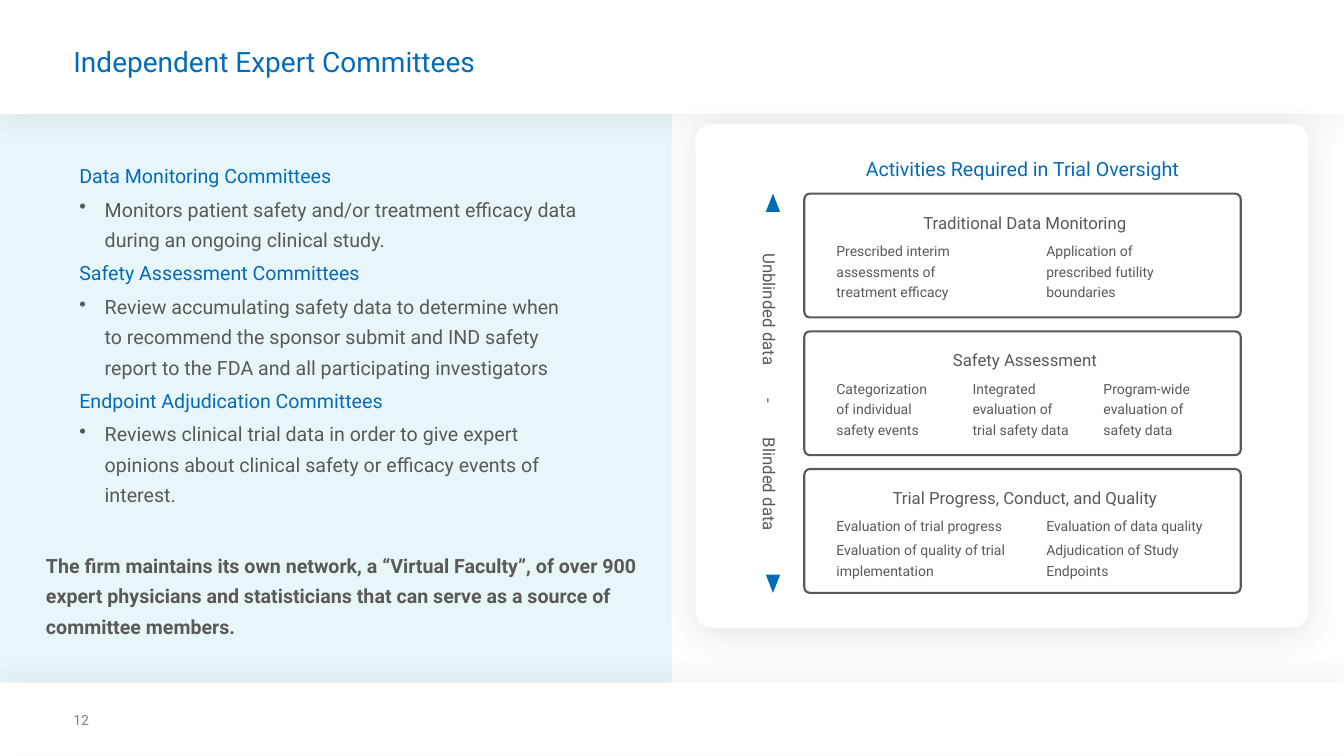
import pptx
import pptx.dml.color
import pptx.enum.shapes
import pptx.enum.text
import pptx.oxml
import pptx.oxml.ns
import pptx.util

Cm = pptx.util.Cm
Pt = pptx.util.Pt
SHAPES = pptx.enum.shapes.MSO_SHAPE
ALIGN = pptx.enum.text.PP_ALIGN

BLUE, GREY, PALE, WHITE = "026CB6", "595959", "E8F6F9", "FFFFFF"
BODY = {"line_spacing": Pt(21.8)}
CENTRED = {"line_spacing": Pt(21.8), "alignment": ALIGN.CENTER}
SMALL = {"line_spacing": Pt(14.8)}

COMMITTEES = [
    ("Data Monitoring Committees",
     "Monitors patient safety and/or treatment efficacy data during an ongoing clinical study."),
    ("Safety Assessment Committees",
     "Review accumulating safety data to determine when to recommend the sponsor submit and IND "
     "safety report to the FDA and all participating investigators"),
    ("Endpoint Adjudication Committees",
     "Reviews clinical trial data in order to give expert opinions about clinical safety or "
     "efficacy events of interest."),
]
ACTIVITIES = [
    ("Traditional Data Monitoring", [
        (21.08, 4.06, ["Prescribed interim assessments of treatment efficacy"]),
        (26.37, 3.66, ["Application of prescribed futility boundaries"])]),
    ("Safety Assessment", [
        (21.08, 2.64, ["Categorization of individual safety events"]),
        (24.51, 2.64, ["Integrated evaluation of trial safety data"]),
        (27.81, 2.64, ["Program-wide evaluation of safety data"])]),
    ("Trial Progress, Conduct, and Quality", [
        (21.08, 5.05, ["Evaluation of trial progress",
                       "Evaluation of quality of trial implementation"]),
        (26.37, 4.09, ["Evaluation of data quality", "Adjudication of Study Endpoints"])]),
]


def colour(value):
    """Return the RGB colour of a hex string."""
    return pptx.dml.color.RGBColor.from_string(value)


def set_all(target, values):
    """Set every attribute named in a dict of format values."""
    for name, value in values.items():
        setattr(target, name, value)


def add_xml(parent, markup):
    """Append one DrawingML element written as markup."""
    namespace = pptx.oxml.ns.nsdecls("a")
    tag, rest = markup.split(" ", 1)
    parent.append(pptx.oxml.parse_xml(f"{tag} {namespace} {rest}"))


def add_shadow(shape, alpha, blur, direction, distance=3):
    """Give a shape a soft black outer shadow."""
    shape.shadow.inherit = False
    effects = shape._element.spPr.find(pptx.oxml.ns.qn("a:effectLst"))
    add_xml(effects, f'<a:outerShdw blurRad="{Pt(blur)}" dist="{Pt(distance)}" '
                     f'dir="{direction * 60000}" algn="ctr" rotWithShape="0">'
                     f'<a:srgbClr val="000000"><a:alpha val="{alpha * 1000}"/>'
                     '</a:srgbClr></a:outerShdw>')


def add_block(slide, kind, box, fill, line=None, corner=None, rotation=0):
    """Add a filled preset shape with an optional outline."""
    shape = slide.shapes.add_shape(kind, *map(Cm, box))
    shape.shadow.inherit = False
    shape.rotation = rotation
    shape.fill.solid()
    shape.fill.fore_color.rgb = colour(fill)
    if line:
        shape.line.color.rgb = colour(line)
        shape.line.width = Pt(1.5)
    else:
        shape.line.fill.background()
    if corner:
        shape.adjustments[0] = corner
    return shape


def add_text_box(slide, box, margins=(0, 0, 0, 0), rotation=0):
    """Add an empty wrapping text box."""
    shape = slide.shapes.add_textbox(*map(Cm, box))
    shape.rotation = rotation
    names = ("margin_left", "margin_top", "margin_right", "margin_bottom")
    set_all(shape.text_frame, dict(zip(names, map(Cm, margins)), word_wrap=True))
    return shape.text_frame


def add_paragraph(frame, text, size, hue, layout, bold=False, bullet=False, tabs=()):
    """Write the next paragraph of a text frame."""
    first = not frame.paragraphs[0].runs
    paragraph = frame.paragraphs[0] if first else frame.add_paragraph()
    properties = paragraph._p.get_or_add_pPr()
    if bullet:
        properties.set("marL", str(Cm(0.64)))
        properties.set("indent", str(-Cm(0.64)))
        add_xml(properties, '<a:buChar char="•"/>')
    if tabs:
        stops = "".join(f'<a:tab pos="{Cm(place)}" algn="{kind}"/>' for place, kind in tabs)
        add_xml(properties, f"<a:tabLst >{stops}</a:tabLst>")
    set_all(paragraph, layout)
    if not first:
        paragraph.space_before = Pt(2)
    run = paragraph.add_run()
    run.text = text
    set_all(run.font, {"name": "Roboto", "size": Pt(size), "bold": bold})
    run.font.color.rgb = colour(hue)


def add_background(slide):
    """Draw the pale panel and the header and footer bands."""
    add_block(slide, SHAPES.RECTANGLE, (0, 2.87, 16.93, 14.33), PALE)
    header = add_block(slide, SHAPES.RECTANGLE, (0, 0, 33.87, 2.87), WHITE)
    add_shadow(header, 6, 24, 90)
    footer = add_block(slide, SHAPES.RECTANGLE, (0, 17.2, 33.87, 1.83), WHITE)
    add_shadow(footer, 6, 23, 270)


def add_committees(slide):
    """Write the committee list and the closing statement."""
    frame = add_text_box(slide, (2, 3.96, 12.6, 9.6))
    for name, duty in COMMITTEES:
        add_paragraph(frame, name, 14, BLUE, BODY)
        add_paragraph(frame, duty, 14, GREY, BODY, bullet=True)
    frame = add_text_box(slide, (0.91, 13.64, 16, 2.54), (0.25, 0.13, 0.25, 0.13))
    add_paragraph(frame, "The firm maintains its own network, a “Virtual Faculty”, of over 900 expert "
                  "physicians and statisticians that can serve as a source of committee members.",
                  14, GREY, BODY, bold=True)


def add_activity(slide, top, heading, columns):
    """Add one outlined activity box with its heading and columns."""
    add_block(slide, SHAPES.ROUNDED_RECTANGLE, (20.27, top, 11, 3.12), WHITE, GREY, 0.045)
    frame = add_text_box(slide, (20.93, top + 0.21, 9.8, 0.89))
    add_paragraph(frame, heading, 12, GREY, CENTRED)
    for left, width, items in columns:
        frame = add_text_box(slide, (left, top + 1.13, width, 1.6))
        for item in items:
            add_paragraph(frame, item, 10, GREY, SMALL)


def add_oversight(slide):
    """Build the card of oversight activities and its blinding scale."""
    card = add_block(slide, SHAPES.ROUNDED_RECTANGLE, (17.53, 3.12, 15.44, 12.7), WHITE,
                     corner=0.033)
    add_shadow(card, 10, 25, 90, distance=4)
    frame = add_text_box(slide, (20.98, 3.78, 9.58, 1))
    add_paragraph(frame, "Activities Required in Trial Oversight", 14, BLUE, CENTRED)
    for index, (heading, columns) in enumerate(ACTIVITIES):
        add_activity(slide, 4.88 + 3.47 * index, heading, columns)
    frame = add_text_box(slide, (15.96, 9.44, 7.01, 0.89), rotation=90)
    add_paragraph(frame, "Unblinded data\t-\tBlinded data", 12, GREY, BODY,
                  tabs=[(3.71, "ctr"), (4.65, "l")])
    for top, rotation in ((4.88, 0), (14.48, 180)):
        add_block(slide, SHAPES.ISOSCELES_TRIANGLE, (19.3, top, 0.36, 0.46), BLUE,
                  rotation=rotation)


def main():
    """Build and save the slide."""
    presentation = pptx.Presentation()
    presentation.slide_width, presentation.slide_height = Cm(33.87), Cm(19.05)
    slide = presentation.slides.add_slide(presentation.slide_layouts[6])
    add_background(slide)
    frame = add_text_box(slide, (1.85, 1.09, 27.23, 1.78), (0, 0.13, 0.25, 0.13))
    add_paragraph(frame, "Independent Expert Committees", 20, BLUE, {"line_spacing": 0.9})
    add_committees(slide)
    add_oversight(slide)
    frame = add_text_box(slide, (1.85, 17.93, 1.19, 0.41))
    add_paragraph(frame, "12", 10, "808080", {})
    presentation.save("out.pptx")


if __name__ == "__main__":
    main()
